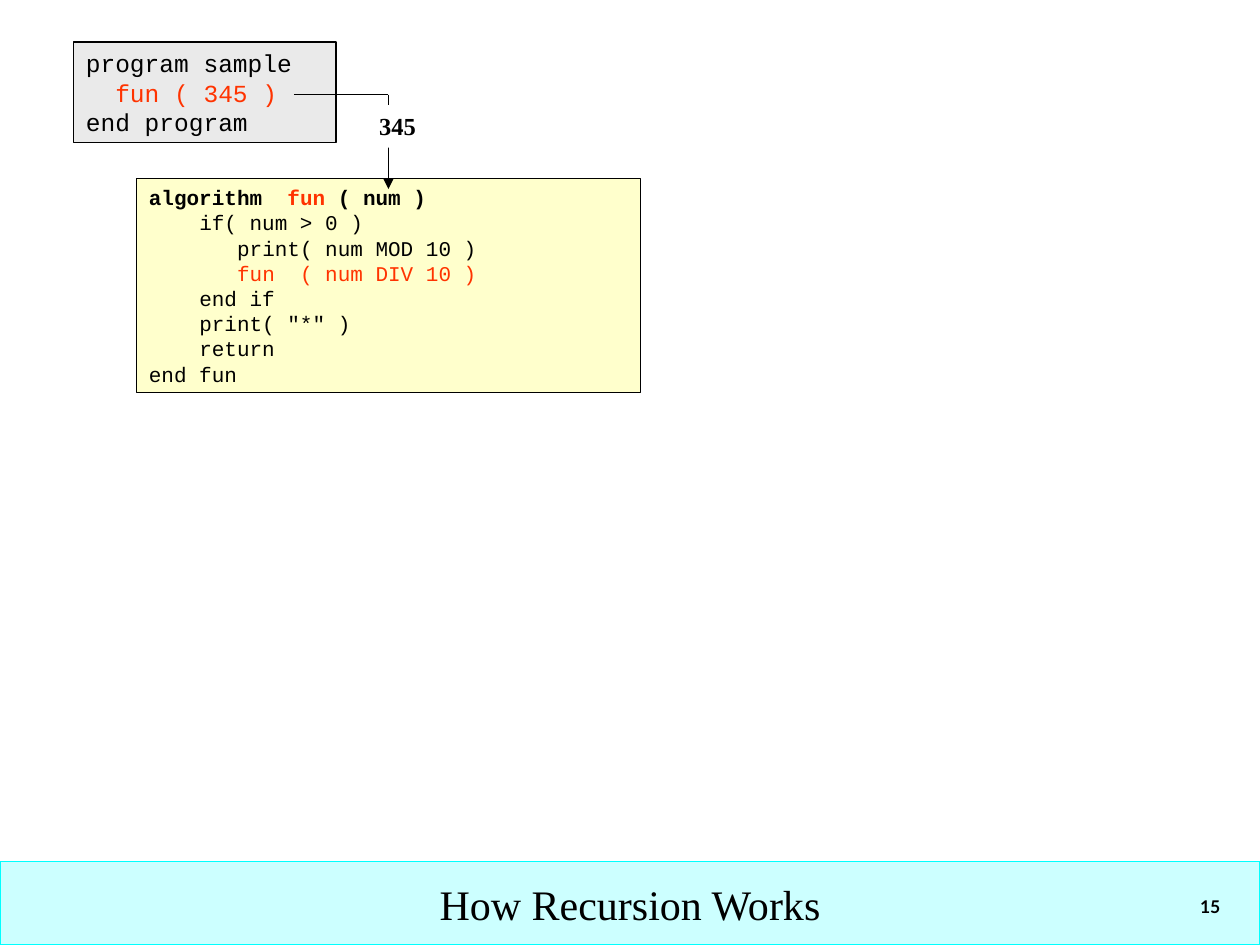
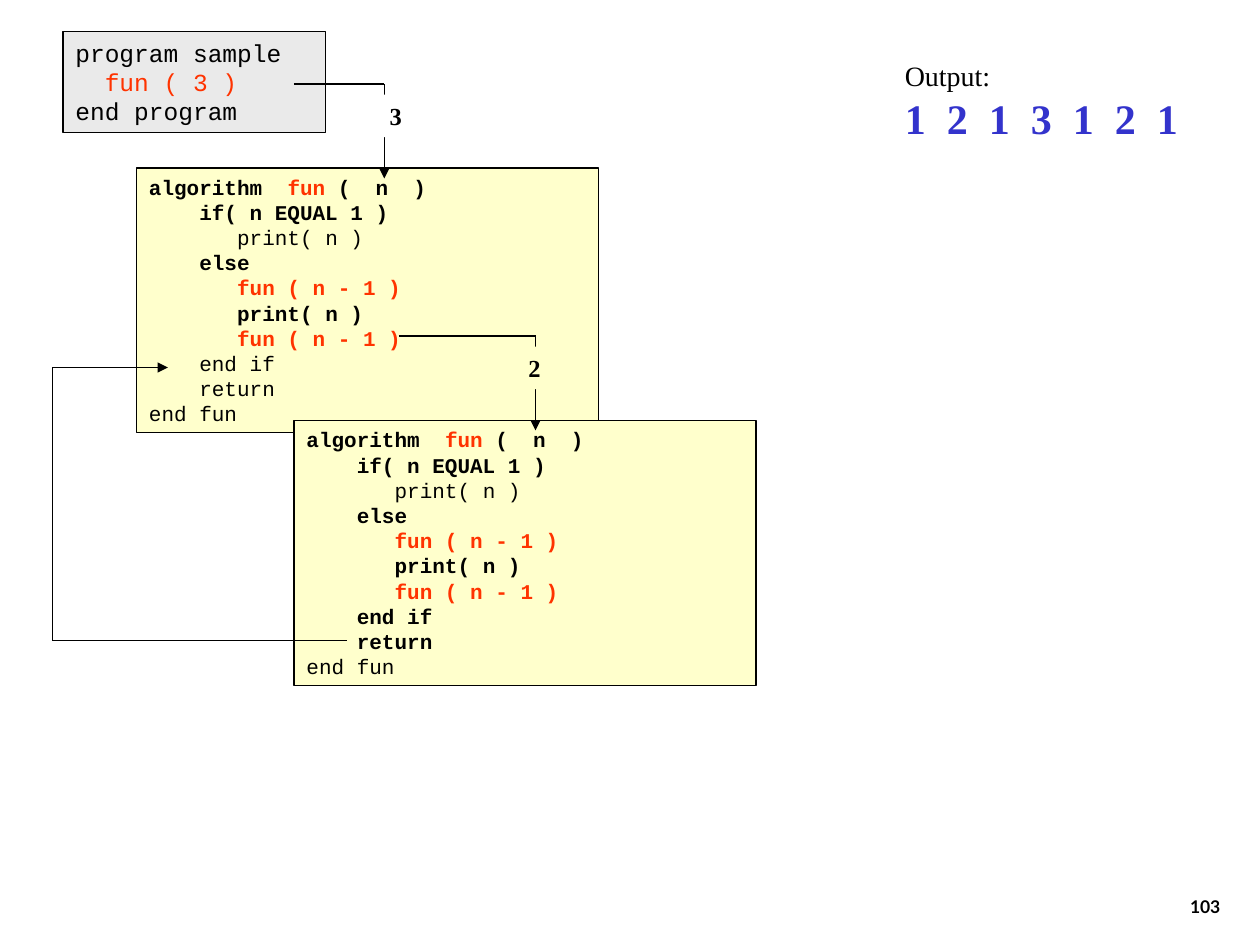
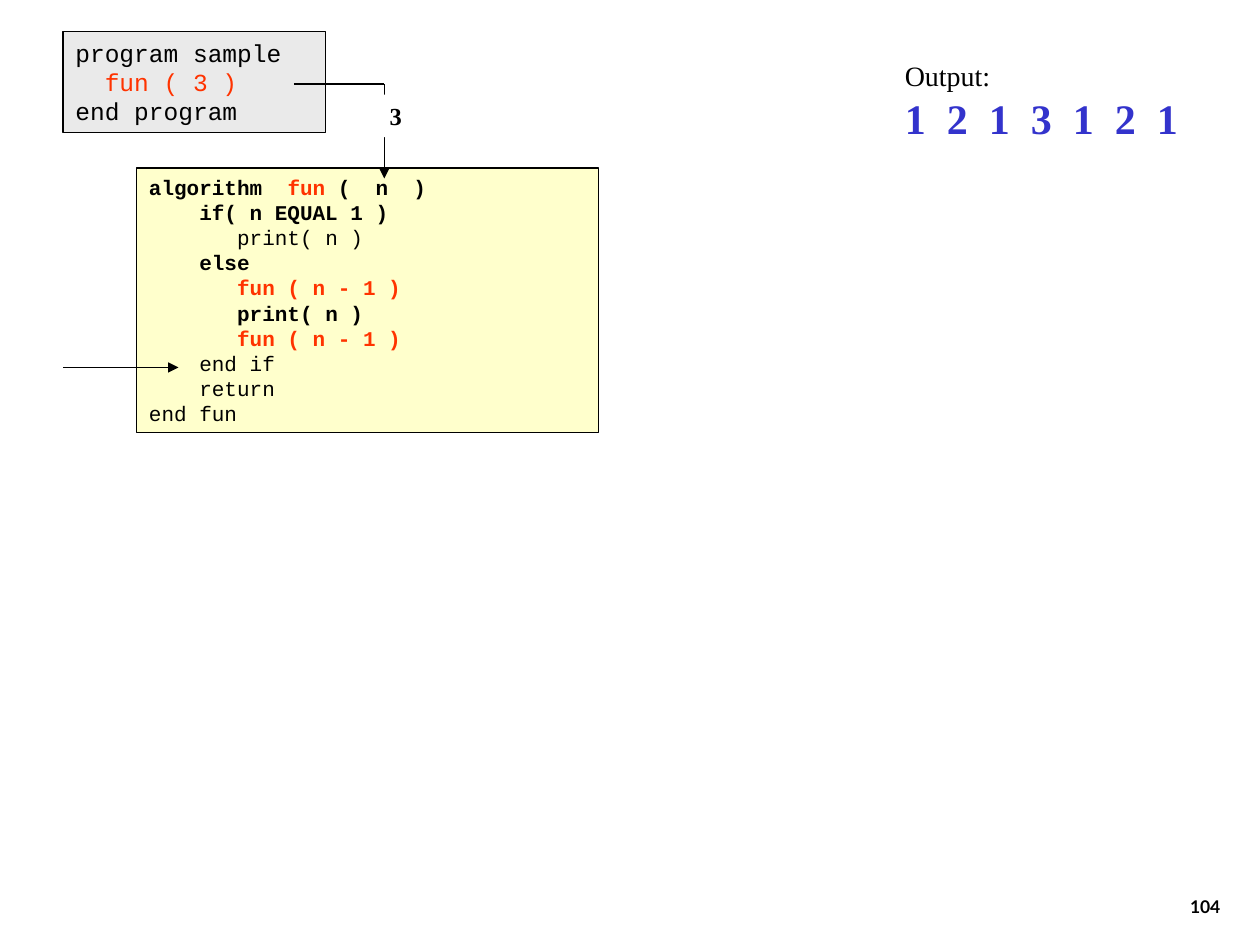
from itertools import pairwise

from lxml import etree
from pptx import Presentation
from pptx.dml.color import RGBColor
from pptx.enum import shapes, text
from pptx.oxml import ns
from pptx.util import Pt

COLORS = {
    "ink": "000000",
    "call": "FF3300",
    "code": "FFFFCC",
    "program": "EAEAEA",
    "paper": "FFFFFF",
    "band": "CCFFFF",
    "band_line": "00FFFF",
    "output": "3333CC",
}
MONO, SERIF, SANS = "Courier New", "Times New Roman", "Lato"
MONO_ADVANCE = 0.6
LEFT, RIGHT, CENTER = text.PP_ALIGN.LEFT, text.PP_ALIGN.RIGHT, text.PP_ALIGN.CENTER
DROP = 54

DIGITS_CODE = [
    (0, "algorithm  fun ( num )"),
    (4, "if( num > 0 )"),
    (7, "print( num MOD 10 )"),
    (7, "fun  ( num DIV 10 )"),
    (4, "end if"),
    (4, 'print( "*" )'),
    (4, "return"),
    (0, "end fun"),
]
RULER_CODE = [
    (0, "algorithm  fun (  n  )"),
    (4, "if( n EQUAL 1 )"),
    (7, "print( n )"),
    (4, "else"),
    (7, "fun ( n - 1 )"),
    (7, "print( n )"),
    (7, "fun ( n - 1 )"),
    (4, "end if"),
    (4, "return"),
    (0, "end fun"),
]
SECOND_CALL_STEPS = {0, 1, 3, 4, 5, 6}
RETURN_STEPS = {7, 8}


def color(name):
    return RGBColor.from_string(COLORS[name])


def add_box(slide, box, fill, line=None):
    shape = slide.shapes.add_shape(shapes.MSO_SHAPE.RECTANGLE, *map(Pt, box))
    shape.shadow.inherit = False
    shape.fill.solid()
    shape.fill.fore_color.rgb = color(fill)
    if line:
        shape.line.color.rgb = color(line)
        shape.line.width = Pt(0.75)
    else:
        shape.line.fill.background()
    return shape


def add_text_box(slide, box):
    return slide.shapes.add_textbox(*map(Pt, box))


def set_frame(shape, anchor=text.MSO_ANCHOR.TOP, left_inset=7.2):
    frame = shape.text_frame
    frame.word_wrap = True
    frame.vertical_anchor = anchor
    frame.margin_left, frame.margin_right = Pt(left_inset), Pt(7.2)
    frame.margin_top = frame.margin_bottom = Pt(3.6)
    return frame


def add_run(paragraph, words, size, font=SERIF, ink="ink", bold=False, align=LEFT):
    paragraph.alignment = align
    run = paragraph.add_run()
    run.text = words
    run.font.name = font
    run.font.size = Pt(size)
    run.font.bold = bold
    run.font.color.rgb = color(ink)


def add_paragraph(frame, index):
    return frame.add_paragraph() if index else frame.paragraphs[0]


def split_line(words):
    if words.startswith("fun "):
        return [(words, "call")]
    if words.startswith("algorithm"):
        keyword, name, arguments = words.partition("fun ")
        return [(keyword, "ink"), (name, "call"), (arguments, "ink")]
    return [(words, "ink")]


def add_listing(slide, box, lines, size, fill, bold_lines=()):
    frame = set_frame(add_box(slide, box, fill, "ink"))
    for index, (indent, words) in enumerate(lines):
        paragraph = add_paragraph(frame, index)
        margin = Pt(indent * size * MONO_ADVANCE)
        paragraph._p.get_or_add_pPr().set("marL", str(int(margin)))
        for part, ink in split_line(words):
            add_run(paragraph, part, size, font=MONO, ink=ink, bold=index in bold_lines)


def add_program(slide, left, top, argument):
    lines = [(0, "program sample"), (2, f"fun ( {argument} )"), (0, "end program")]
    add_listing(slide, (left, top, 150, 57.6), lines, 14, "program")


def add_arrow(slide, points):
    for start, end in pairwise(points):
        connector = slide.shapes.add_connector(
            shapes.MSO_CONNECTOR.STRAIGHT, *map(Pt, (*start, *end))
        )
        connector.line.color.rgb = color("ink")
        connector.line.width = Pt(0.75)
        properties = connector._element.spPr
        if end == points[-1]:
            etree.SubElement(properties.get_or_add_ln(), ns.qn("a:tailEnd"), type="triangle")
        etree.SubElement(properties, ns.qn("a:effectLst"))


def add_call(slide, start, corner, argument, label_left, label_width, fill="paper"):
    left, top = start
    add_arrow(slide, [start, (corner, top), (corner, top + DROP)])
    label = add_box(slide, (label_left, top + 6, label_width, 24.4), fill)
    paragraph = set_frame(label, left_inset=0).paragraphs[0]
    add_run(paragraph, argument, 14, bold=True, align=RIGHT)


def add_title_band(slide, title):
    band = add_box(slide, (0, 492.5, 720, 47.5), "band", "band_line")
    frame = set_frame(band, text.MSO_ANCHOR.MIDDLE)
    add_run(frame.paragraphs[0], title, 24, align=CENTER)


def add_page_number(slide, number):
    box = add_text_box(slide, (554.4, 491.8, 150, 36))
    frame = set_frame(box, text.MSO_ANCHOR.BOTTOM)
    add_run(frame.paragraphs[0], str(number), 10, font=SANS, bold=True, align=RIGHT)


def add_output(slide, digits):
    frame = set_frame(add_text_box(slide, (510, 30, 174, 55.4)))
    add_run(add_paragraph(frame, 0), "Output:", 16)
    add_run(add_paragraph(frame, 1), digits, 24, ink="output", bold=True)


def add_ruler_listing(slide, left, top, bold_lines):
    add_listing(slide, (left, top, 264, 151.2), RULER_CODE, 12, "code", bold_lines)


def add_ruler_start(slide):
    add_ruler_listing(slide, 78, 96, SECOND_CALL_STEPS)
    add_program(slide, 36, 18, "3")
    add_output(slide, "1  2  1  3  1  2  1")
    add_call(slide, (168, 48), 219.6, "3", 208.8, 28)


def build_digits_slide(slide):
    add_listing(slide, (78, 102, 288, 122.4), DIGITS_CODE, 12, "code", {0})
    add_program(slide, 42, 24, "345")
    add_title_band(slide, "How Recursion Works")
    add_call(slide, (168, 54), 222, "345", 209.5, 35.3)


def build_return_slide(slide):
    add_ruler_start(slide)
    add_ruler_listing(slide, 168, 240.5, SECOND_CALL_STEPS | RETURN_STEPS)
    add_arrow(slide, [(198, 366), (30, 366), (30, 210), (96, 210)])
    add_call(slide, (228, 192), 306, "2", 284.4, 31.7, fill="code")


def build_resume_slide(slide):
    add_ruler_start(slide)
    add_arrow(slide, [(36, 210), (102, 210)])


def main():
    presentation = Presentation()
    presentation.slide_width, presentation.slide_height = Pt(720), Pt(540)
    pages = {15: build_digits_slide, 103: build_return_slide, 104: build_resume_slide}
    for number, build in pages.items():
        slide = presentation.slides.add_slide(presentation.slide_layouts[6])
        build(slide)
        add_page_number(slide, number)
    presentation.save("out.pptx")


if __name__ == "__main__":
    main()
